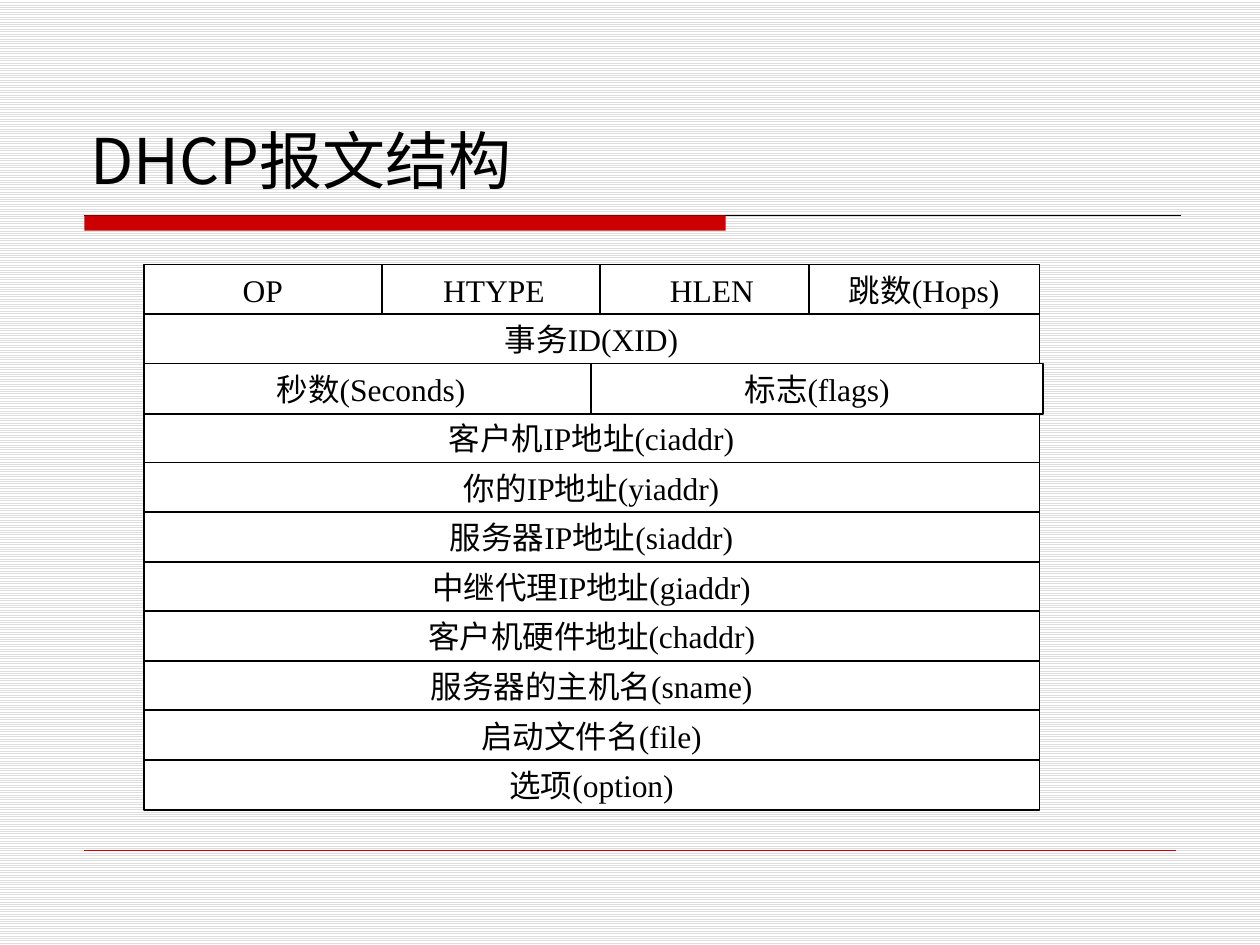
from dataclasses import dataclass

from lxml import etree
from pptx import Presentation
from pptx.dml.color import RGBColor
from pptx.enum import dml, shapes, text
from pptx.oxml.ns import qn
from pptx.util import Inches, Pt

BLACK = RGBColor(0, 0, 0)
WHITE = RGBColor(255, 255, 255)
RED = RGBColor(0xCC, 0, 0)
GREY = RGBColor(0xDD, 0xDD, 0xDD)
SANS = "Noto Sans CJK SC"
SERIF = "Times New Roman"
LEFT, TOP, WIDE, HIGH, PITCH = 1.14, 2.1, 7.11, 0.4, 0.393


@dataclass
class Field:
    label: str
    row: int
    left: float = LEFT
    width: float = WIDE


FIELDS = [
    Field("OP", 0, LEFT, 1.89),
    Field("HTYPE", 0, 3.03, 1.78),
    Field("HLEN", 0, 4.76, 1.78),
    Field("跳数(Hops)", 0, 6.42, 1.83),
    Field("事务ID(XID)", 1),
    Field("客户机IP地址(ciaddr)", 3),
    Field("秒数(Seconds)", 2, LEFT, 3.61),
    Field("标志(flags)", 2, 4.69, 3.59),
    Field("你的IP地址(yiaddr)", 4),
    Field("服务器IP地址(siaddr)", 5),
    Field("中继代理IP地址(giaddr)", 6),
    Field("客户机硬件地址(chaddr)", 7),
    Field("服务器的主机名(sname)", 8),
    Field("启动文件名(file)", 9),
    Field("选项(option)", 10),
]


def write(frame, words: str, size: int, face: str) -> None:
    run = frame.paragraphs[0].add_run()
    run.text = words
    run.font.size = Pt(size)
    run.font.name = face
    run.font.color.rgb = BLACK
    east = etree.SubElement(run.font._element, qn("a:ea"))
    east.set("typeface", SANS)


def add_box(slide, left: float, top: float, width: float, height: float,
            fill: RGBColor):
    box = slide.shapes.add_shape(
        shapes.MSO_SHAPE.RECTANGLE,
        Inches(left), Inches(top), Inches(width), Inches(height))
    box.shadow.inherit = False
    box.fill.solid()
    box.fill.fore_color.rgb = fill
    return box


def add_rule(slide, top: float, right: float, color: RGBColor,
             weight: float) -> None:
    rule = slide.shapes.add_connector(
        shapes.MSO_CONNECTOR.STRAIGHT,
        Inches(0.67), Inches(top), Inches(right), Inches(top))
    rule.line.color.rgb = color
    rule.line.width = Pt(weight)
    etree.SubElement(rule._element.spPr, qn("a:effectLst"))


def add_field(slide, field: Field) -> None:
    box = add_box(slide, field.left, TOP + field.row * PITCH,
                  field.width, HIGH, WHITE)
    box.line.color.rgb = BLACK
    box.line.width = Pt(1)
    frame = box.text_frame
    frame.word_wrap = True
    frame.vertical_anchor = text.MSO_ANCHOR.MIDDLE
    frame.paragraphs[0].alignment = text.PP_ALIGN.CENTER
    write(frame, field.label, 18, SERIF)


def add_title(slide, words: str) -> None:
    box = slide.shapes.add_textbox(
        Inches(0.62), Inches(0.86), Inches(8.33), Inches(0.75))
    frame = box.text_frame
    frame.word_wrap = True
    frame.vertical_anchor = text.MSO_ANCHOR.BOTTOM
    write(frame, words, 36, SANS)


def main() -> None:
    deck = Presentation()
    deck.slide_width, deck.slide_height = Inches(10), Inches(7.5)
    slide = deck.slides.add_slide(deck.slide_layouts[6])
    back = slide.background.fill
    back.patterned()
    back.pattern = dml.MSO_PATTERN.LIGHT_HORIZONTAL
    back.fore_color.rgb = GREY
    back.back_color.rgb = WHITE

    add_rule(slide, 1.71, 9.37, BLACK, 0.75)
    bar = add_box(slide, 0.67, 1.71, 5.09, 0.12, RED)
    bar.line.fill.background()
    add_rule(slide, 6.75, 9.33, RED, 0.25)
    add_title(slide, "DHCP报文结构")
    for field in FIELDS:
        add_field(slide, field)
    deck.save("out.pptx")


if __name__ == "__main__":
    main()
